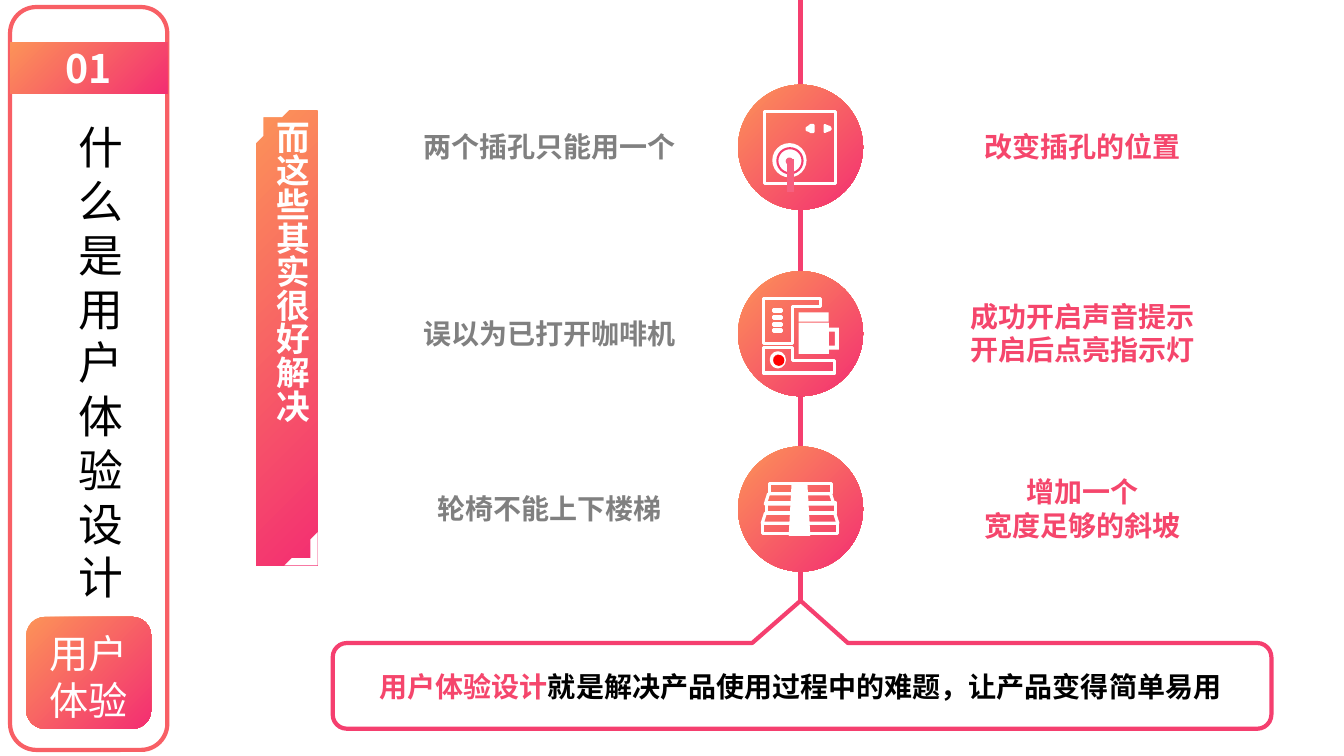
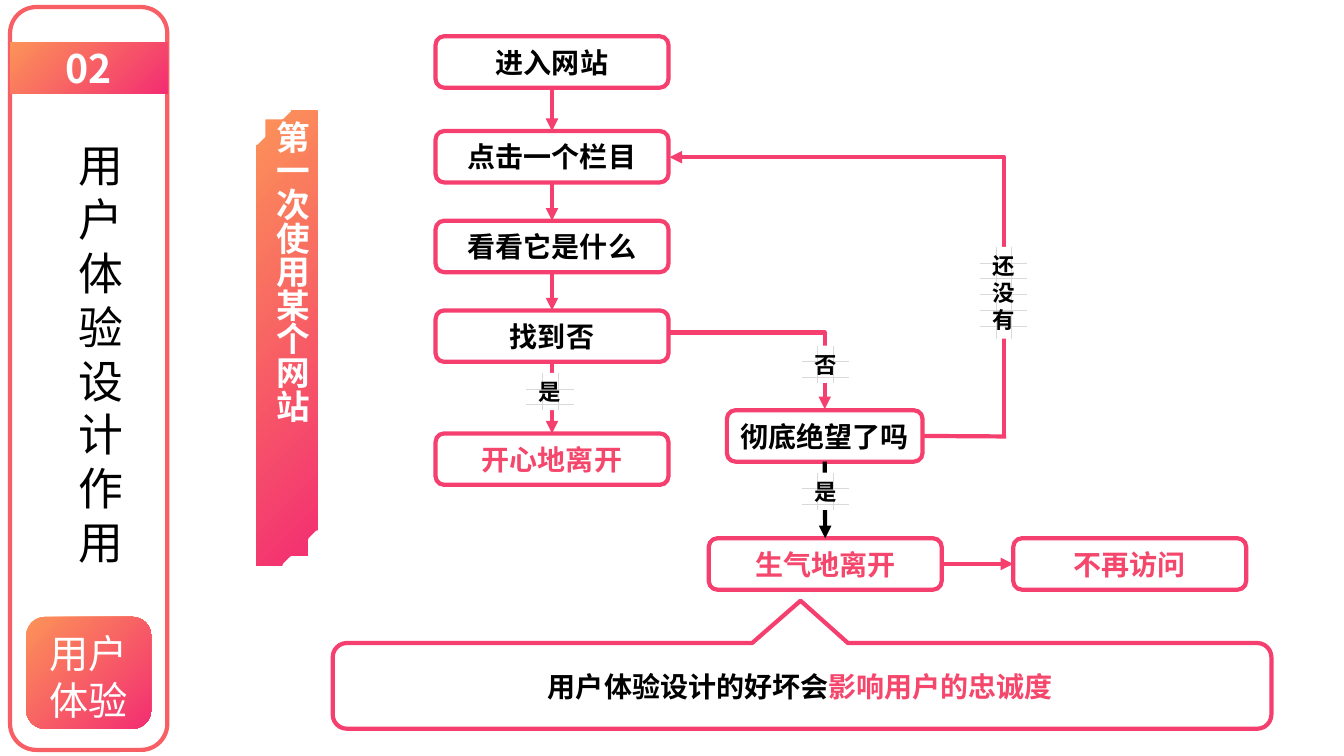
import math

from lxml import etree
from pptx import Presentation
from pptx.dml.color import RGBColor
from pptx.enum.dml import MSO_PATTERN
from pptx.enum.shapes import MSO_CONNECTOR, MSO_SHAPE
from pptx.enum.text import MSO_ANCHOR, MSO_AUTO_SIZE, PP_ALIGN
from pptx.oxml.ns import qn
from pptx.util import Pt

PX = 9144  # 100 px to the inch
FONT = "Noto Sans CJK SC"
RECT, ROUND, OVAL = MSO_SHAPE.RECTANGLE, MSO_SHAPE.ROUNDED_RECTANGLE, MSO_SHAPE.OVAL
BRACKET, TRAPEZOID = MSO_SHAPE.HALF_FRAME, MSO_SHAPE.TRAPEZOID
STRAIGHT, ELBOW = MSO_CONNECTOR.STRAIGHT, MSO_CONNECTOR.ELBOW
TOP, MIDDLE = MSO_ANCHOR.TOP, MSO_ANCHOR.MIDDLE
CENTER = PP_ALIGN.CENTER
DOTTED_GRID = MSO_PATTERN.DOTTED_GRID
TEXT, FREEFORM = "text box", "freeform"

BLACK = RGBColor(0x00, 0x00, 0x00)
WHITE = RGBColor(0xFF, 0xFF, 0xFF)
GREY = RGBColor(0x80, 0x80, 0x80)
PALE_GREY = RGBColor(0xD9, 0xD9, 0xD9)
MID_GREY = RGBColor(0xA6, 0xA6, 0xA6)
RED = RGBColor(0xFF, 0x00, 0x00)
PINK = RGBColor(0xF5, 0x46, 0x6C)
LINE_PINK = RGBColor(0xF5, 0x3F, 0x6F)
CORD_PINK = RGBColor(0xF6, 0x60, 0x80)
CORAL = RGBColor(0xF8, 0x5F, 0x65)
ORANGE = RGBColor(0xFC, 0x93, 0x58)
MAGENTA = RGBColor(0xF3, 0x2E, 0x72)
BLEND = (ORANGE, MAGENTA)
DOTS = (PALE_GREY, WHITE)


def draw(page, kind, place, fill=None, line=None, width=3, adjust=()):
    """Add a shape; place is left, top, width, height, or the contours of a freeform."""
    if kind == FREEFORM:
        contours = [[(x * PX, y * PX) for x, y in contour] for contour in place]
        builder = page.shapes.build_freeform(*contours[0][0])
        builder.add_line_segments(contours[0][1:])
        for contour in contours[1:]:
            builder.move_to(*contour[0])
            builder.add_line_segments(contour[1:])
        shape = builder.convert_to_shape()
    elif kind == TEXT:
        shape = page.shapes.add_textbox(*(n * PX for n in place))
    else:
        shape = page.shapes.add_shape(kind, *(n * PX for n in place))
        for index, value in enumerate(adjust):
            shape.adjustments[index] = value
    shape.shadow.inherit = False
    if fill is BLEND:
        shape.fill.gradient()
        shape.fill.gradient_angle = 315
        for stop, color in zip(shape.fill.gradient_stops, BLEND):
            stop.color.rgb = color
    elif fill is DOTS:
        shape.fill.patterned()
        shape.fill.pattern = DOTTED_GRID
        shape.fill.fore_color.rgb, shape.fill.back_color.rgb = DOTS
    elif fill is None:
        shape.fill.background()
    else:
        shape.fill.solid()
        shape.fill.fore_color.rgb = fill
    if line is None:
        shape.line.fill.background()
    else:
        shape.line.color.rgb = line
        shape.line.width = Pt(width)
    return shape


def write(shape, text, size, color, bold=True, anchor=TOP):
    """Fill a shape with centred text, one paragraph a line."""
    frame = shape.text_frame
    frame.word_wrap = True
    frame.auto_size = MSO_AUTO_SIZE.NONE
    frame.vertical_anchor = anchor
    frame.text = text
    for para in frame.paragraphs:
        para.alignment = CENTER
        para.line_spacing = Pt(size * 1.2)
        font = para.font
        font.name, font.size, font.bold = FONT, Pt(size), bold
        font.color.rgb = color
        etree.SubElement(font._element, qn("a:ea")).set("typeface", FONT)


deck = Presentation()
deck.slide_width, deck.slide_height = 1333 * PX, 750 * PX
connectors = []  # connector, colour, width, arrow element

# Callout outline: a rounded rectangle with a point on its top edge
LEFT, UPPER, RIGHT, LOWER, RADIUS = 330, 638, 1261, 723, 14
callout = [(746, UPPER), (794, 596), (841, UPPER)]
for x, y, start in ((RIGHT - RADIUS, UPPER + RADIUS, -90), (RIGHT - RADIUS, LOWER - RADIUS, 0),
                    (LEFT + RADIUS, LOWER - RADIUS, 90), (LEFT + RADIUS, UPPER + RADIUS, 180)):
    for step in range(0, 91, 15):
        angle = math.radians(start + step)
        callout.append((x + RADIUS * math.cos(angle), y + RADIUS * math.sin(angle)))

# Sidebar, banner and callout of every page
chapters = [
    ("01", "什么是用户体验设计", 114, "而这些其实很好解决", None,
     (("用户体验设计", PINK), ("就是解决产品使用过程中的难题，让产品变得简单易用", BLACK))),
    ("02", "用户体验设计作用", 132, "第一次使用某个网站", WHITE,
     (("用户体验设计的好坏会", BLACK), ("影响用户的忠诚度", PINK))),
]
pages = []
for number, title, title_top, banner_text, bracket_line, (lead, ending) in chapters:
    page = deck.slides.add_slide(deck.slide_layouts[5])
    pages.append(page)
    heading = page.shapes.title
    heading.left, heading.top = 68 * PX, title_top * PX
    heading.width, heading.height = 39 * PX, (len(title) * 54 + 9) * PX
    write(heading, title, 32, BLACK, bold=False)

    draw(page, ROUND, (10, 7, 156, 737), line=CORAL)
    draw(page, ROUND, (26, 612, 124, 111), BLEND)
    write(draw(page, TEXT, (26, 619, 123, 104)), "用户体验", 28, WHITE, bold=False)
    write(draw(page, RECT, (10, 42, 156, 51), BLEND), number, 28, WHITE, anchor=MIDDLE)

    banner = draw(page, RECT, (254, 110, 61, 451), BLEND)
    write(banner, banner_text, 24, WHITE)
    banner.text_frame.paragraphs[0].alignment = PP_ALIGN.LEFT
    banner.text_frame._txBody.bodyPr.set("vert", "eaVert")
    for x, y, turn in ((254, 109, 0), (282, 528, 180)):
        bracket = draw(page, BRACKET, (x, y, 33, 33), WHITE, bracket_line, adjust=(0.22, 0.22))
        bracket.rotation = turn

    draw(page, FREEFORM, [callout], WHITE, LINE_PINK)
    conclusion = draw(page, TEXT, (352, 659, 884, 44))
    write(conclusion, lead[0], 20, lead[1])
    span = conclusion.text_frame.paragraphs[0].add_run()
    span.text = ending[0]
    span.font.color.rgb = ending[1]

solutions, journey = pages

# Page 1: problems, icons and solutions
AXIS, DISC = 794, 124
rows = [
    (84, "两个插孔只能用一个", "改变插孔的位置"),
    (269, "误以为已打开咖啡机", "成功开启声音提示\n开启后点亮指示灯"),
    (443, "轮椅不能上下楼梯", "增加一个\n宽度足够的斜坡"),
]
line_top = 0
for disc_top, problem, solution in rows:
    line = solutions.shapes.add_connector(STRAIGHT, AXIS * PX, line_top * PX, AXIS * PX, disc_top * PX)
    connectors.append((line, LINE_PINK, 3, None))
    line_top = disc_top + DISC
    draw(solutions, OVAL, (AXIS - DISC // 2, disc_top, DISC, DISC), BLEND)
    for x, text, color in ((409, problem, GREY), (938, solution, PINK)):
        height = 44 + 34 * text.count("\n")
        place = (x, disc_top + (DISC - height) // 2, 272, height)
        write(draw(solutions, TEXT, place), text, 20, color)
line = solutions.shapes.add_connector(STRAIGHT, AXIS * PX, line_top * PX, AXIS * PX, 596 * PX)
connectors.append((line, LINE_PINK, 3, None))

coffee_slots = [[(775, y), (767, y), (767, y + 2), (775, y + 2), (775, y)] for y in (307, 314, 321, 327)]
icons = [
    # socket and plug
    (RECT, (758, 111, 71, 71), None, WHITE, 2.25),
    (FREEFORM, [[(804, 124), (807, 124), (807, 131), (804, 131), (803, 130), (800, 129),
                 (800, 127), (803, 125), (804, 124)]], WHITE, WHITE, 1.5),
    (FREEFORM, [[(818, 124), (820, 125), (823, 126), (824, 128), (823, 129), (820, 130),
                 (818, 131), (818, 124)]], WHITE, WHITE, 1.5),
    (OVAL, (766, 142, 34, 34), WHITE, None, 0),
    (OVAL, (771, 147, 25, 25), WHITE, LINE_PINK, 1.5),
    (OVAL, (780, 157, 6, 6), MID_GREY, CORD_PINK, 1),
    # coffee machine
    (RECT, (792, 310, 30, 9), WHITE, None, 0),
    (FREEFORM, [[(832, 325), (822, 325), (822, 320), (792, 320), (792, 351), (822, 351),
                 (822, 347), (832, 347), (832, 325)],
                [(828, 343), (822, 343), (822, 329), (828, 329), (828, 343)]], WHITE, None, 0),
    (FREEFORM, [[(786, 304), (814, 304), (814, 296), (757, 296), (757, 341), (786, 341),
                 (786, 304)]] + coffee_slots, None, WHITE, 2.25),
    (FREEFORM, [[(786, 358), (786, 345), (757, 345), (757, 370), (828, 370), (828, 358),
                 (786, 358)]], None, WHITE, 2.25),
    (OVAL, (765, 350, 13, 14), None, WHITE, 2.25),
    (OVAL, (767, 352, 11, 11), RED, None, 0),
    # steps and ramp
    (RECT, (763, 480, 62, 10), None, WHITE, 2.25),
    (RECT, (760, 499, 69, 10), None, WHITE, 2.25),
    (TRAPEZOID, (759, 490, 68, 10), None, WHITE, 2.25, (0.32,)),
    (TRAPEZOID, (756, 509, 75, 10), None, WHITE, 2.25, (0.32,)),
    (RECT, (756, 519, 75, 10), None, WHITE, 2.25),
    (TRAPEZOID, (783, 480, 20, 51), WHITE, WHITE, 1, (0.14,)),
]
for icon in icons:
    draw(solutions, *icon)
cord = solutions.shapes.add_connector(STRAIGHT, 784 * PX, 158 * PX, 784 * PX, 190 * PX)
connectors.append((cord, CORD_PINK, 4.5, None))

# Page 2: flow chart
steps = {}
for name, x, y, width, color in (
    ("进入网站", 432, 36, 231, BLACK),
    ("点击一个栏目", 432, 130, 231, BLACK),
    ("看看它是什么", 432, 219, 231, BLACK),
    ("找到否", 432, 308, 231, BLACK),
    ("开心地离开", 432, 430, 231, PINK),
    ("彻底绝望了吗", 721, 407, 194, BLACK),
    ("生气地离开", 703, 534, 231, PINK),
    ("不再访问", 1005, 534, 231, PINK),
):
    steps[name] = draw(journey, ROUND, (x, y, width, 51), WHITE, LINE_PINK)
    write(steps[name], name, 20, color, anchor=MIDDLE)

for source, source_side, target, target_side, color in (
    ("进入网站", 2, "点击一个栏目", 0, LINE_PINK),
    ("点击一个栏目", 2, "看看它是什么", 0, LINE_PINK),
    ("看看它是什么", 2, "找到否", 0, LINE_PINK),
    ("找到否", 2, "开心地离开", 0, LINE_PINK),
    ("彻底绝望了吗", 2, "生气地离开", 0, BLACK),
    ("生气地离开", 3, "不再访问", 1, LINE_PINK),
):
    arrow = journey.shapes.add_connector(STRAIGHT, 0, 0, 0, 0)
    arrow.begin_connect(steps[source], source_side)
    arrow.end_connect(steps[target], target_side)
    connectors.append((arrow, color, 3, "a:tailEnd"))

for x1, y1, x2, y2, arrow_end in ((664, 330, 818, 406, "a:tailEnd"), (664, 156, 996, 434, "a:headEnd")):
    elbow = journey.shapes.add_connector(ELBOW, x1 * PX, y1 * PX, x2 * PX, y2 * PX)
    elbow._element.spPr.find(qn("a:prstGeom")).set("prst", "bentConnector2")
    connectors.append((elbow, LINE_PINK, 3, arrow_end))
way_back = journey.shapes.add_connector(STRAIGHT, 915 * PX, 433 * PX, 998 * PX, 433 * PX)
way_back.begin_connect(steps["彻底绝望了吗"], 3)
connectors.append((way_back, LINE_PINK, 3, None))

for text, x, y, height in (("是", 522, 370, 37), ("否", 795, 343, 37),
                           ("还没有", 972, 245, 91), ("是", 795, 469, 37)):
    write(draw(journey, RECT, (x, y, 47, height), DOTS), text, 16, BLACK)

for connector, color, width, arrow_end in connectors:
    connector.line.color.rgb = color
    connector.line.width = Pt(width)
    properties = connector._element.spPr
    if arrow_end:
        etree.SubElement(properties.find(qn("a:ln")), qn(arrow_end)).set("type", "triangle")
    etree.SubElement(properties, qn("a:effectLst"))

deck.save("out.pptx")
